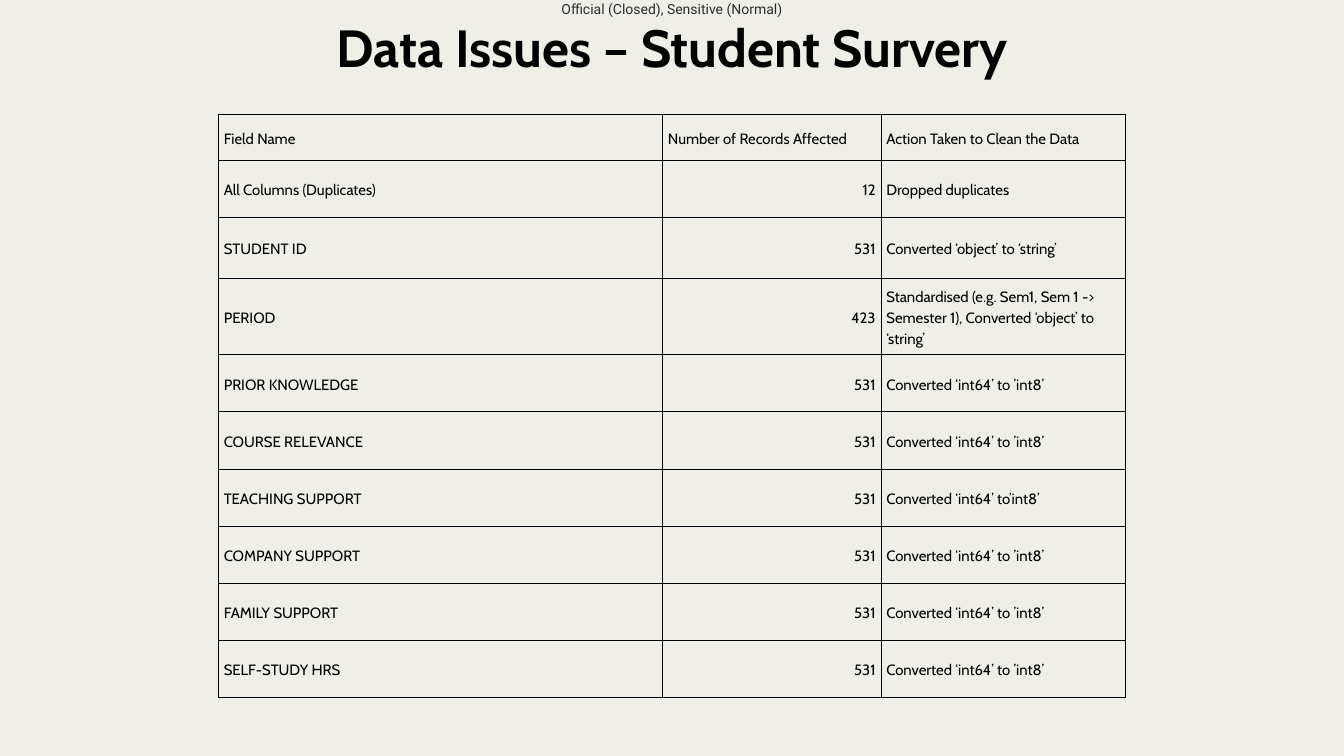
from lxml.etree import SubElement
from pptx import Presentation
from pptx.dml.color import RGBColor
from pptx.enum.text import MSO_ANCHOR, PP_ALIGN
from pptx.oxml.ns import qn
from pptx.util import Inches, Pt

BACKGROUND = "EFEEE7"
BLACK = "000000"
TITLE = {"name": "Cabin", "size": Pt(56), "bold": True}
CELL = {"name": "Cabin", "size": Pt(16), "bold": False}
LABEL = {"name": "Roboto", "size": Pt(15), "bold": False}

TO_INT8 = "Converted ‘int64’ to ’int8’"
ISSUES = [
    ("Field Name", "Number of Records Affected", "Action Taken to Clean the Data"),
    ("All Columns (Duplicates)", "12", "Dropped duplicates"),
    ("STUDENT ID", "531", "Converted ‘object’ to ‘string’"),
    ("PERIOD", "423", "Standardised (e.g. Sem1, Sem 1 -> Semester 1), "
                      "Converted ‘object’ to ‘string’"),
    ("PRIOR KNOWLEDGE", "531", TO_INT8),
    ("COURSE RELEVANCE", "531", TO_INT8),
    ("TEACHING SUPPORT", "531", "Converted ‘int64’ to’int8’"),
    ("COMPANY SUPPORT", "531", TO_INT8),
    ("FAMILY SUPPORT", "531", TO_INT8),
    ("SELF-STUDY HRS", "531", TO_INT8),
]
COLUMN_WIDTHS = [6.61, 3.25, 3.63]
ROW_HEIGHTS = [0.69, 0.84, 0.92, 1.13] + [0.85] * 6


def color(hex_string):
    return RGBColor.from_string(hex_string)


def set_margins(target, inset):
    for side in ("left", "top", "right", "bottom"):
        setattr(target, f"margin_{side}", Inches(inset))


def write(frame, text, font_format, hex_color, alignment, line_spacing):
    frame.word_wrap = True
    paragraph = frame.paragraphs[0]
    paragraph.alignment = alignment
    paragraph.line_spacing = Pt(line_spacing)
    run = paragraph.add_run()
    run.text = text
    for name, value in font_format.items():
        setattr(run.font, name, value)
    run.font.color.rgb = color(hex_color)


def add_centered_text(slide, box, text, font_format, hex_color, line_spacing):
    shape = slide.shapes.add_textbox(*map(Inches, box))
    set_margins(shape.text_frame, 0)
    write(shape.text_frame, text, font_format, hex_color, PP_ALIGN.CENTER, line_spacing)


def add_borders(cell, hex_color, width):
    properties = cell._tc.get_or_add_tcPr()
    for tag in ("a:lnL", "a:lnR", "a:lnT", "a:lnB"):
        line = SubElement(properties, qn(tag), w=str(Pt(width)))
        fill = SubElement(line, qn("a:solidFill"))
        SubElement(fill, qn("a:srgbClr"), val=hex_color)


def add_issue_table(slide, left, top):
    frame = slide.shapes.add_table(
        len(ISSUES), len(COLUMN_WIDTHS), Inches(left), Inches(top),
        Inches(sum(COLUMN_WIDTHS)), Inches(sum(ROW_HEIGHTS)))
    table = frame.table
    table.first_row = table.horz_banding = False
    for column, width in zip(table.columns, COLUMN_WIDTHS):
        column.width = Inches(width)
    for row, height in zip(table.rows, ROW_HEIGHTS):
        row.height = Inches(height)
    for row, texts in zip(table.rows, ISSUES):
        for cell, text in zip(row.cells, texts):
            alignment = PP_ALIGN.RIGHT if text.isdigit() else PP_ALIGN.LEFT
            write(cell.text_frame, text, CELL, BLACK, alignment, 22.4)
            set_margins(cell, 0.08)
            cell.vertical_anchor = MSO_ANCHOR.MIDDLE
            add_borders(cell, BLACK, 1)
            cell.fill.background()


def main():
    presentation = Presentation()
    presentation.slide_width = Inches(20)
    presentation.slide_height = Inches(11.25)
    slide = presentation.slides.add_slide(presentation.slide_layouts[6])
    slide.background.fill.solid()
    slide.background.fill.fore_color.rgb = color(BACKGROUND)

    add_centered_text(slide, (4.32, 0.07, 11.37, 1.05),
                      "Data Issues – Student Survery", TITLE, BLACK, 78.4)
    add_issue_table(slide, 3.25, 1.7)
    add_centered_text(slide, (5.7, -0.05, 8.6, 0.3),
                      "Official (Closed), Sensitive (Normal)", LABEL, "2B2C30", 22.5)
    presentation.save("out.pptx")


if __name__ == "__main__":
    main()
